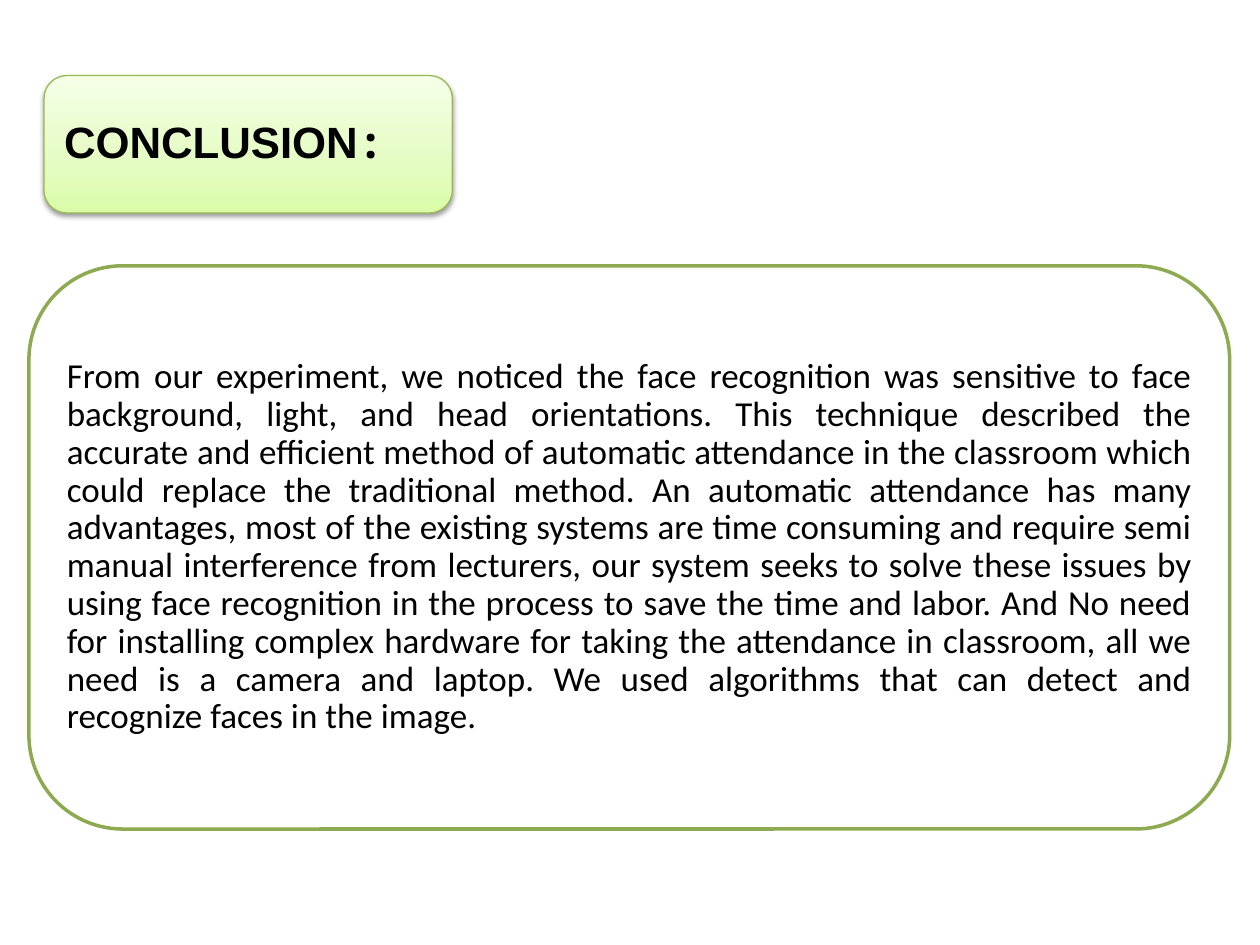
import pptx
import pptx.dml.color
import pptx.enum.shapes
import pptx.enum.text
import pptx.oxml
import pptx.oxml.ns
import pptx.util
from pptx.util import Inches

ALIGN = pptx.enum.text.PP_ALIGN
HEADING_SPANS = [("CONCLUSION", "Arial"), (":", "Noto Sans Mono")]
CONCLUSION_SPANS = [(
    "From our experiment, we noticed the face recognition was sensitive to face "
    "background, light, and head orientations. This technique described the accurate "
    "and efficient method of automatic attendance in the classroom which could replace "
    "the traditional method. An automatic attendance has many advantages, most of the "
    "existing systems are time consuming and require semi manual interference from "
    "lecturers, our system seeks to solve these issues by using face recognition in the "
    "process to save the time and labor. And No need for installing complex hardware for "
    "taking the attendance in classroom, all we need is a camera and laptop. We used "
    "algorithms that can detect and recognize faces in the image. ", "Calibri")]

PANELS = [
    {"at": (0.35, 0.6, 3.24, 1.09), "pad": 0.06, "inset": 0.1,
     "line": "98B955", "weight": 0.75,
     "gradient": [(0, "DAFDA7"), (35, "E4FCC2"), (100, "F5FFE7")],
     "spans": HEADING_SPANS, "align": ALIGN.LEFT, "size": 25, "bold": True},
    {"at": (0.23, 2.11, 9.53, 4.47), "pad": 0.22, "inset": 0.08,
     "line": "8DAA51", "weight": 2, "gradient": None,
     "spans": CONCLUSION_SPANS, "align": ALIGN.JUSTIFY, "size": 20, "bold": False},
]


def color(value):
    return pptx.dml.color.RGBColor.from_string(value)


def apply(target, values):
    for name, value in values.items():
        setattr(target, name, value)


def element(markup):
    tag, rest = markup.split(" ", 1)
    return pptx.oxml.parse_xml(f"{tag} {pptx.oxml.ns.nsdecls('a')} {rest}")


def fill_gradient(shape, stops):
    shape.fill.gradient()
    shape.fill.gradient_angle = 90
    stop_list = shape._element.spPr.find(".//" + pptx.oxml.ns.qn("a:gsLst"))
    for old_stop in list(stop_list):
        stop_list.remove(old_stop)
    for position, value in stops:
        stop_list.append(element(
            f'<a:gs pos="{position * 1000}"><a:srgbClr val="{value}"/></a:gs>'))


def add_shadow(shape):
    effects = shape._element.spPr.find(pptx.oxml.ns.qn("a:effectLst"))
    blur, distance = pptx.util.Pt(3.1), pptx.util.Pt(1.6)
    effects.append(element(
        f'<a:outerShdw blurRad="{blur}" dist="{distance}" dir="5400000" rotWithShape="0">'
        '<a:srgbClr val="000000"><a:alpha val="38000"/></a:srgbClr></a:outerShdw>'))


def add_panel(page, panel):
    shape = page.shapes.add_shape(
        pptx.enum.shapes.MSO_SHAPE.ROUNDED_RECTANGLE, *map(Inches, panel["at"]))
    shape.line.color.rgb = color(panel["line"])
    shape.line.width = pptx.util.Pt(panel["weight"])
    shape.shadow.inherit = False
    if panel["gradient"]:
        fill_gradient(shape, panel["gradient"])
        add_shadow(shape)
    else:
        shape.fill.solid()
        shape.fill.fore_color.rgb = color("FFFFFF")


def add_text(page, panel):
    left, top, width, height = panel["at"]
    pad, inset = panel["pad"], Inches(panel["inset"])
    box = page.shapes.add_textbox(
        Inches(left + pad), Inches(top + pad),
        Inches(width - 2 * pad), Inches(height - 2 * pad))
    apply(box.text_frame, {
        "word_wrap": True, "vertical_anchor": pptx.enum.text.MSO_ANCHOR.MIDDLE,
        "margin_left": inset, "margin_right": inset,
        "margin_top": inset, "margin_bottom": inset})
    para = box.text_frame.paragraphs[0]
    apply(para, {"alignment": panel["align"], "line_spacing": 0.9})
    for text, font in panel["spans"]:
        span = para.add_run()
        span.text = text
        apply(span.font, {"name": font, "size": pptx.util.Pt(panel["size"]),
                          "bold": panel["bold"]})
        span.font.color.rgb = color("000000")


def main():
    deck = pptx.Presentation()
    apply(deck, {"slide_width": Inches(10), "slide_height": Inches(7.5)})
    page = deck.slides.add_slide(deck.slide_layouts[6])
    for panel in PANELS:
        add_panel(page, panel)
        add_text(page, panel)
    deck.save("out.pptx")


if __name__ == "__main__":
    main()
